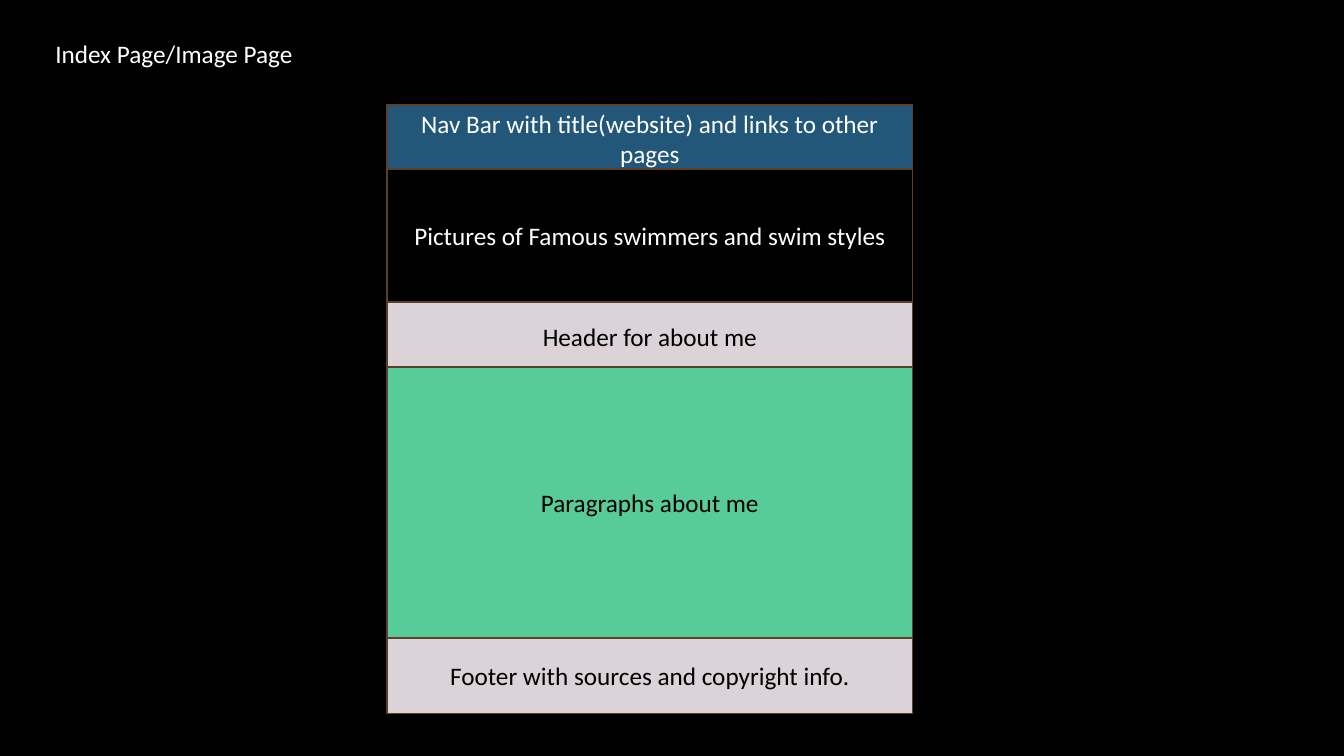
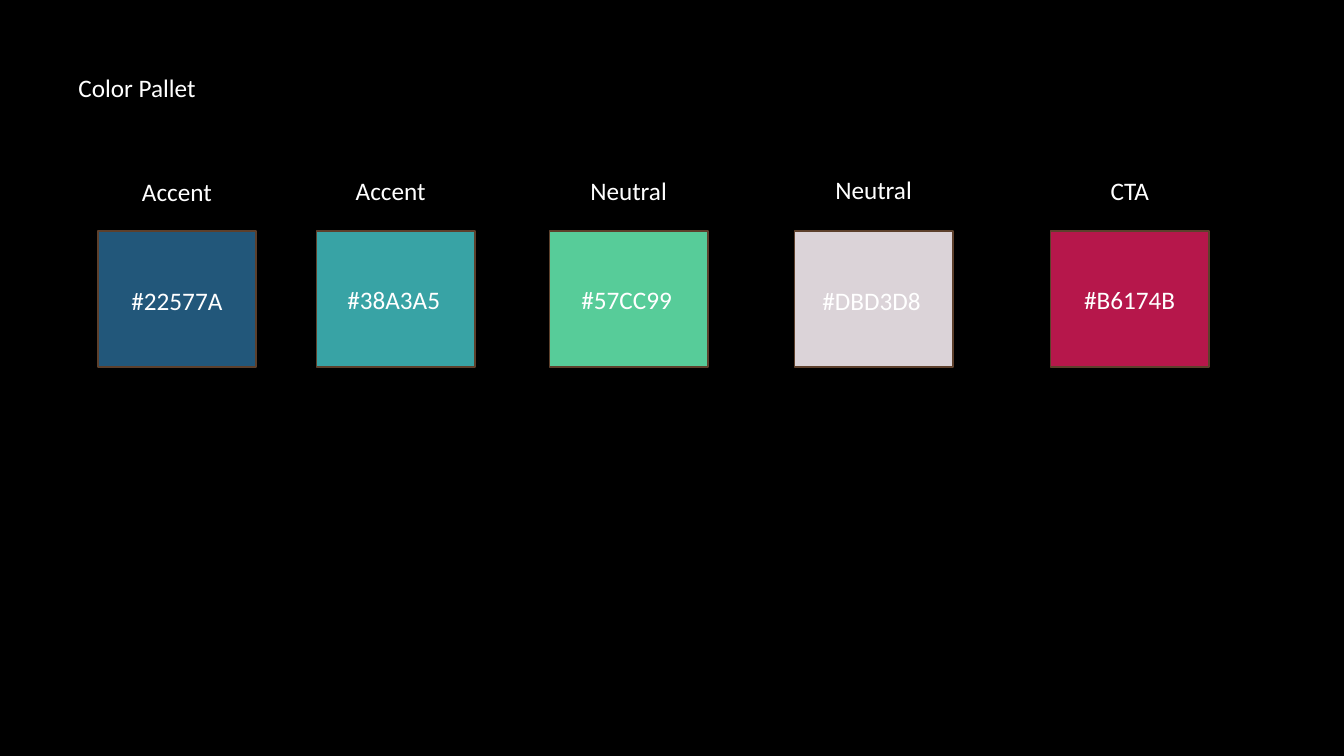
import pptx
import pptx.dml.color
import pptx.enum.shapes
import pptx.enum.text
import pptx.util

Inches = pptx.util.Inches
Pt = pptx.util.Pt
ALIGN = pptx.enum.text.PP_ALIGN

COLORS = {
    "black": "000000",
    "white": "FFFFFF",
    "outline": "5D402C",
    "blue": "22577A",
    "teal": "38A3A5",
    "green": "57CC99",
    "mauve": "DBD3D8",
    "crimson": "B6174B",
}


def rgb(color):
    return pptx.dml.color.RGBColor.from_string(COLORS[color])


def write_text(frame, text, color="white", size=18, font="Calibri", align=ALIGN.LEFT):
    frame.word_wrap = True
    paragraph = frame.paragraphs[0]
    paragraph.alignment = align
    run = paragraph.add_run()
    run.text = text
    run.font.name = font
    run.font.size = Pt(size)
    run.font.color.rgb = rgb(color)


class Deck:
    label_height = 0.4
    outline_width = 1.25

    def __init__(self):
        self.presentation = pptx.Presentation()
        self.presentation.slide_width = Inches(13.33)
        self.presentation.slide_height = Inches(7.5)
        self.slide = None

    def new_slide(self):
        self.slide = self.presentation.slides.add_slide(self.presentation.slide_layouts[6])
        background = self.slide.background.fill
        background.solid()
        background.fore_color.rgb = rgb("black")

    def label(self, text, left, top, width, **style):
        label = self.slide.shapes.add_textbox(
            Inches(left), Inches(top), Inches(width), Inches(self.label_height))
        write_text(label.text_frame, text, **style)
        label.text_frame.auto_size = pptx.enum.text.MSO_AUTO_SIZE.SHAPE_TO_FIT_TEXT

    def block(self, left, top, width, height, fill, text=None, color="white"):
        block = self.slide.shapes.add_shape(
            pptx.enum.shapes.MSO_SHAPE.RECTANGLE,
            Inches(left), Inches(top), Inches(width), Inches(height))
        block.shadow.inherit = False
        block.fill.solid()
        block.fill.fore_color.rgb = rgb(fill)
        block.line.color.rgb = rgb("outline")
        block.line.width = Pt(self.outline_width)
        if text:
            block.text_frame.vertical_anchor = pptx.enum.text.MSO_ANCHOR.MIDDLE
            write_text(block.text_frame, text, color=color, align=ALIGN.CENTER)


def add_page_layout(deck):
    page_left, page_top, page_width, page_height = 3.84, 1.04, 5.21, 6.04
    sections = [
        (1.04, 0.67, "blue", "white", "Nav Bar with title(website) and links to other pages"),
        (1.68, 1.32, "black", "white", "Pictures of Famous swimmers and swim styles"),
        (3.00, 0.67, "mauve", "black", "Header for about me"),
        (3.64, 2.69, "green", "black", "Paragraphs about me"),
        (6.33, 0.75, "mauve", "black", "Footer with sources and copyright info."),
    ]
    deck.new_slide()
    deck.label("Index Page/Image Page", 0.45, 0.33, 3.39)
    deck.block(page_left, page_top, page_width, page_height, "white")
    for top, height, fill, color, text in sections:
        deck.block(page_left, top, page_width, height, fill, text, color)


def add_palette(deck):
    swatch_top, swatch_width, swatch_height = 2.29, 1.57, 1.35
    swatches = [
        ("blue", 0.97, "Accent", (0.97, 1.70), (0.97, 2.78)),
        ("teal", 3.14, "Accent", (3.09, 1.69), (3.12, 2.77)),
        ("green", 5.45, "Neutral", (5.45, 1.69), (5.43, 2.77)),
        ("mauve", 7.88, "Neutral", (7.88, 1.68), (7.86, 2.78)),
        ("crimson", 10.42, "CTA", (10.42, 1.69), (10.42, 2.77)),
    ]
    deck.new_slide()
    deck.label("Color Pallet", 0.68, 0.67, 1.86)
    for fill, left, role, role_at, code_at in swatches:
        deck.block(left, swatch_top, swatch_width, swatch_height, fill)
        deck.label(role, *role_at, swatch_width, align=ALIGN.CENTER)
        deck.label("#" + COLORS[fill], *code_at, swatch_width, align=ALIGN.CENTER)


def main():
    deck = Deck()
    add_page_layout(deck)
    add_palette(deck)
    deck.presentation.save("out.pptx")


if __name__ == "__main__":
    main()
